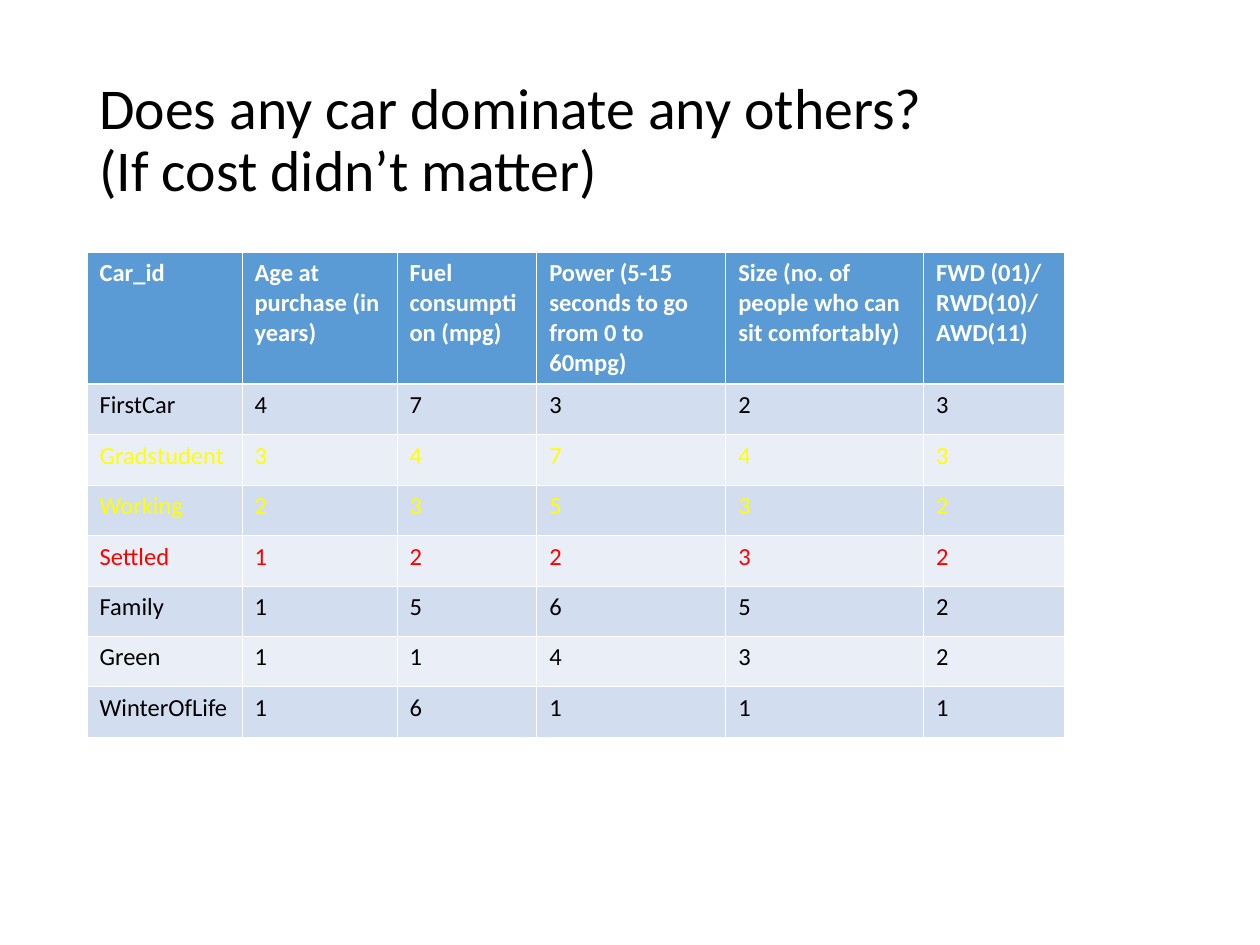
"""Build a slide with a table that ranks cars by criterion."""
from typing import NamedTuple

from lxml import etree
from pptx import Presentation
from pptx import util as u
from pptx.dml.color import RGBColor
from pptx.enum import text
from pptx.oxml.ns import qn

FONT = "Calibri"
WHITE, BLACK, YELLOW, RED = "FFFFFF", "000000", "FFFF00", "FF0000"
HEAD, BANDS = "5B9BD5", ("EAEFF7", "D2DEEF")
THIN, THICK = 0.45, 1.47
WIDTHS = (1.23, 1.23, 1.11, 1.5, 1.57, 1.12)
HEAD_H, ROW_H = 1.05, 0.4
TITLE = ("Does any car dominate any others?", "(If cost didn’t matter)")
LABELS = (
    "Car_id",
    "Age at purchase (in years)",
    "Fuel consumption (mpg)",
    "Power (5-15 seconds to go from 0 to 60mpg)",
    "Size (no. of people who can sit comfortably)",
    "FWD (01)/ RWD(10)/ AWD(11)",
)


class Car(NamedTuple):
    name: str
    ranks: tuple[int, ...]
    color: str = BLACK


CARS = (
    Car("FirstCar", (4, 7, 3, 2, 3)),
    Car("Gradstudent", (3, 4, 7, 4, 3), YELLOW),
    Car("Working", (2, 3, 5, 3, 2), YELLOW),
    Car("Settled", (1, 2, 2, 3, 2), RED),
    Car("Family", (1, 5, 6, 5, 2)),
    Car("Green", (1, 1, 4, 3, 2)),
    Car("WinterOfLife", (1, 6, 1, 1, 1)),
)


def rgb(code: str) -> RGBColor:
    return RGBColor.from_string(code)


def add_run(para, words: str, size: float, color: str, bold: bool = False) -> None:
    run = para.add_run()
    run.text = words
    font = run.font
    font.name, font.size, font.bold = FONT, u.Pt(size), bold
    font.color.rgb = rgb(color)


def add_edge(cell, side: str, width: float) -> None:
    props = cell._tc.get_or_add_tcPr()
    line = etree.SubElement(props, qn(f"a:ln{side}"), w=str(u.Pt(width)))
    fill = etree.SubElement(line, qn("a:solidFill"))
    etree.SubElement(fill, qn("a:srgbClr"), val=WHITE)


def fill_row(table, row: int, words: tuple[str, ...], fill: str, color: str) -> None:
    top = THICK if row == 1 else THIN
    base = THICK if row == 0 else THIN
    for col, word in enumerate(words):
        cell = table.cell(row, col)
        for side, width in (("L", THIN), ("R", THIN), ("T", top), ("B", base)):
            add_edge(cell, side, width)
        cell.fill.solid()
        cell.fill.fore_color.rgb = rgb(fill)
        add_run(cell.text_frame.paragraphs[0], word, 14, color, row == 0)


def add_title(slide) -> None:
    box = slide.shapes.add_textbox(
        u.Inches(0.69), u.Inches(0.4), u.Inches(8.63), u.Inches(1.45))
    frame = box.text_frame
    frame.word_wrap = True
    frame.vertical_anchor = text.MSO_ANCHOR.MIDDLE
    para = frame.paragraphs[0]
    para.line_spacing = 0.9
    for num, line in enumerate(TITLE):
        if num:
            para.add_line_break()
        add_run(para, line, 33, BLACK)


def add_ranks(slide) -> None:
    table = slide.shapes.add_table(
        len(CARS) + 1, len(LABELS), u.Inches(0.69), u.Inches(2),
        u.Inches(sum(WIDTHS)), u.Inches(HEAD_H + ROW_H * len(CARS))).table
    for col, width in zip(table.columns, WIDTHS):
        col.width = u.Inches(width)
    for num, row in enumerate(table.rows):
        row.height = u.Inches(ROW_H if num else HEAD_H)
    fill_row(table, 0, LABELS, HEAD, WHITE)
    for num, car in enumerate(CARS, 1):
        words = (car.name, *map(str, car.ranks))
        fill_row(table, num, words, BANDS[num % 2], car.color)


def main() -> None:
    deck = Presentation()
    deck.slide_width, deck.slide_height = u.Inches(10), u.Inches(7.5)
    slide = deck.slides.add_slide(deck.slide_layouts[6])
    add_title(slide)
    add_ranks(slide)
    deck.save("out.pptx")


if __name__ == "__main__":
    main()
